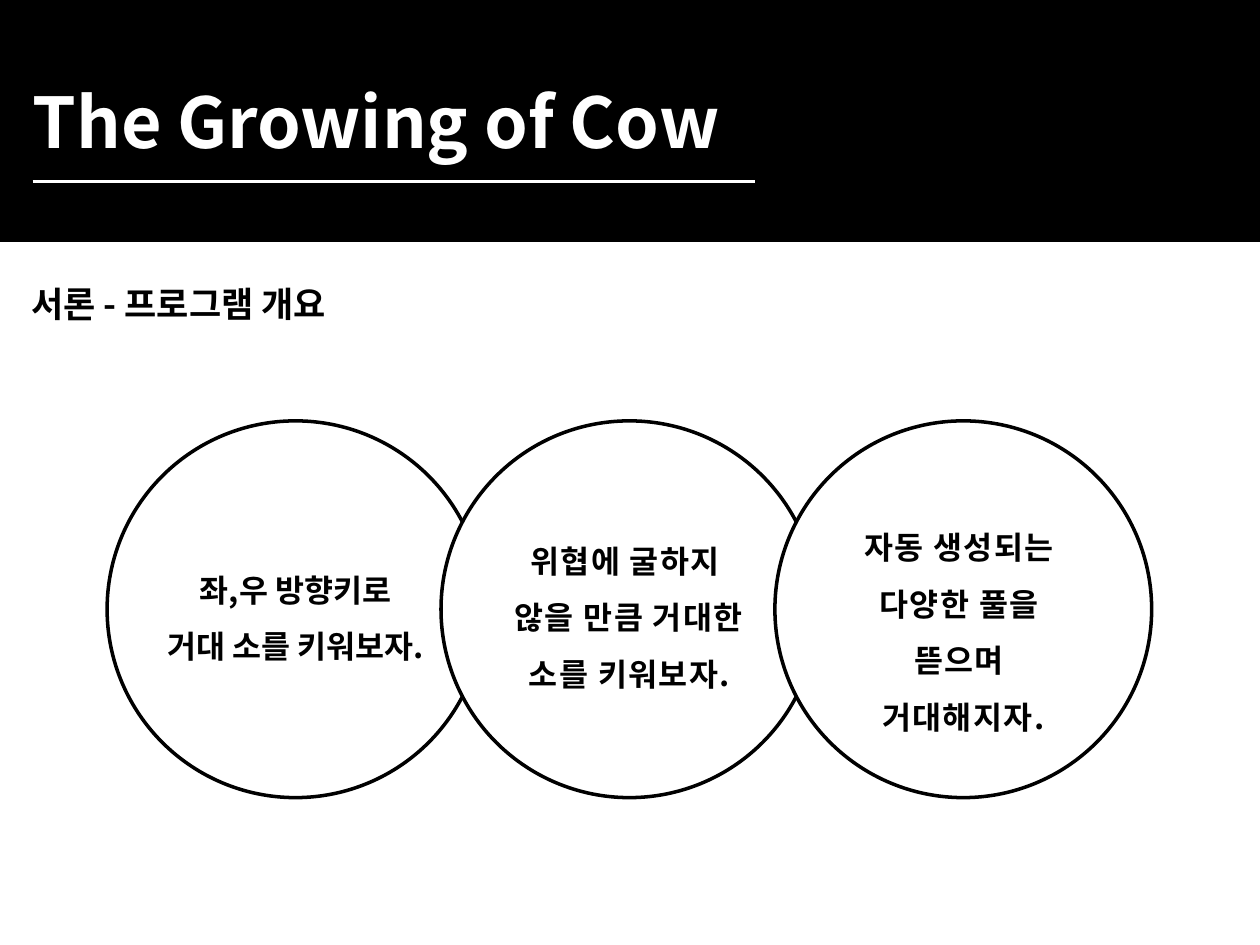
from lxml import etree
from pptx import Presentation
from pptx.dml.color import RGBColor
from pptx.enum.shapes import MSO_CONNECTOR as Connector, MSO_SHAPE as Shape
from pptx.enum.text import MSO_ANCHOR as Anchor, MSO_AUTO_SIZE as AutoSize, PP_ALIGN as Align
from pptx.oxml.ns import qn
from pptx.util import Inches, Pt

BLACK = RGBColor(0, 0, 0)
WHITE = RGBColor(255, 255, 255)
FONT = "Noto Sans CJK KR"
WIDTH, HEIGHT = 10, 7.5

# Width and top of each text, then its paragraphs and letter spacing
IDEAS = [
    (2.5, 4.33, ["좌,우 방향키로", "거대 소를 키워보자."], 0),
    (2.32, 4.1, ["위협에 굴하지 ", "않을 만큼 거대한 소를 키워보자."], 0.8),
    (2.32, 3.99, ["자동 생성되는 ", "다양한 풀을 ", "뜯으며 ", "거대해지자."], 0.8),
]


def write(box, lines, size, color=BLACK, align=Align.LEFT, leading=None,
          spacing=0, wrap=True):
    frame = box.text_frame
    frame.word_wrap = wrap
    frame.auto_size = AutoSize.NONE
    frame.vertical_anchor = Anchor.TOP
    for index, line in enumerate(lines):
        para = frame.add_paragraph() if index else frame.paragraphs[0]
        para.alignment = align
        para.line_spacing = leading
        span = para.add_run()
        span.text = line
        span.font.name, span.font.size, span.font.bold = FONT, Pt(size), True
        span.font.color.rgb = color
        props = span.font._element
        etree.SubElement(props, qn("a:ea")).set("typeface", FONT)
        if spacing:
            props.set("spc", str(round(spacing * 100)))


def add_outlined(page, kind, box, fill):
    shape = page.shapes.add_shape(kind, *map(Inches, box))
    shape.shadow.inherit = False
    shape.fill.solid()
    shape.fill.fore_color.rgb = fill
    shape.line.color.rgb = BLACK
    shape.line.width = Pt(2)
    return shape


def add_header(page, left, top, width, height):
    # Black band, placed behind the title
    band = add_outlined(page, Shape.RECTANGLE, (left, top, width, height), BLACK)
    page.shapes._spTree.insert(2, band._element)

    title = page.shapes.title
    title.left, title.top = Inches(left + 0.15), Inches(top + 0.3 * height)
    title.width, title.height = Inches(0.6 * width), Inches(0.85)
    write(title, ["The Growing of Cow"], 40, WHITE, wrap=False)

    # Rule under the title
    y = Inches(top + 1.44)
    rule = page.shapes.add_connector(
        Connector.STRAIGHT, Inches(left + 0.25), y, Inches(left + 5.98), y)
    rule.line.color.rgb = WHITE
    rule.line.width = Pt(1.5)
    etree.SubElement(rule._element.spPr, qn("a:effectLst"))


def add_subtitle(page, left, top, width, height):
    box = page.shapes.add_textbox(*map(Inches, (left, top, width, height)))
    write(box, ["서론 - 프로그램 개요"], 20, wrap=False)


def add_ideas(page, left, top, width, diameter):
    pitch = (width - diameter) / (len(IDEAS) - 1)
    # Overlapping circles
    for index in range(len(IDEAS)):
        add_outlined(page, Shape.OVAL,
                     (left + index * pitch, top, diameter, diameter), WHITE)
    # Texts centred on the circles
    for index, (text_width, text_top, lines, spacing) in enumerate(IDEAS):
        centre = left + index * pitch + diameter / 2
        box = page.shapes.add_textbox(
            Inches(centre - text_width / 2), Inches(text_top),
            Inches(text_width), Inches(0.1 + 0.45 * max(len(lines), 2)))
        write(box, lines, 18, align=Align.CENTER, leading=1.5, spacing=spacing)


deck = Presentation()
deck.slide_width, deck.slide_height = Inches(WIDTH), Inches(HEIGHT)
page = deck.slides.add_slide(deck.slide_layouts[5])
add_header(page, 0.01, 0, WIDTH - 0.01, 1.91)
add_subtitle(page, 0.15, 2.19, 5.73, 0.5)
add_ideas(page, 0.85, 3.34, 8.29, 2.99)
deck.save("out.pptx")
